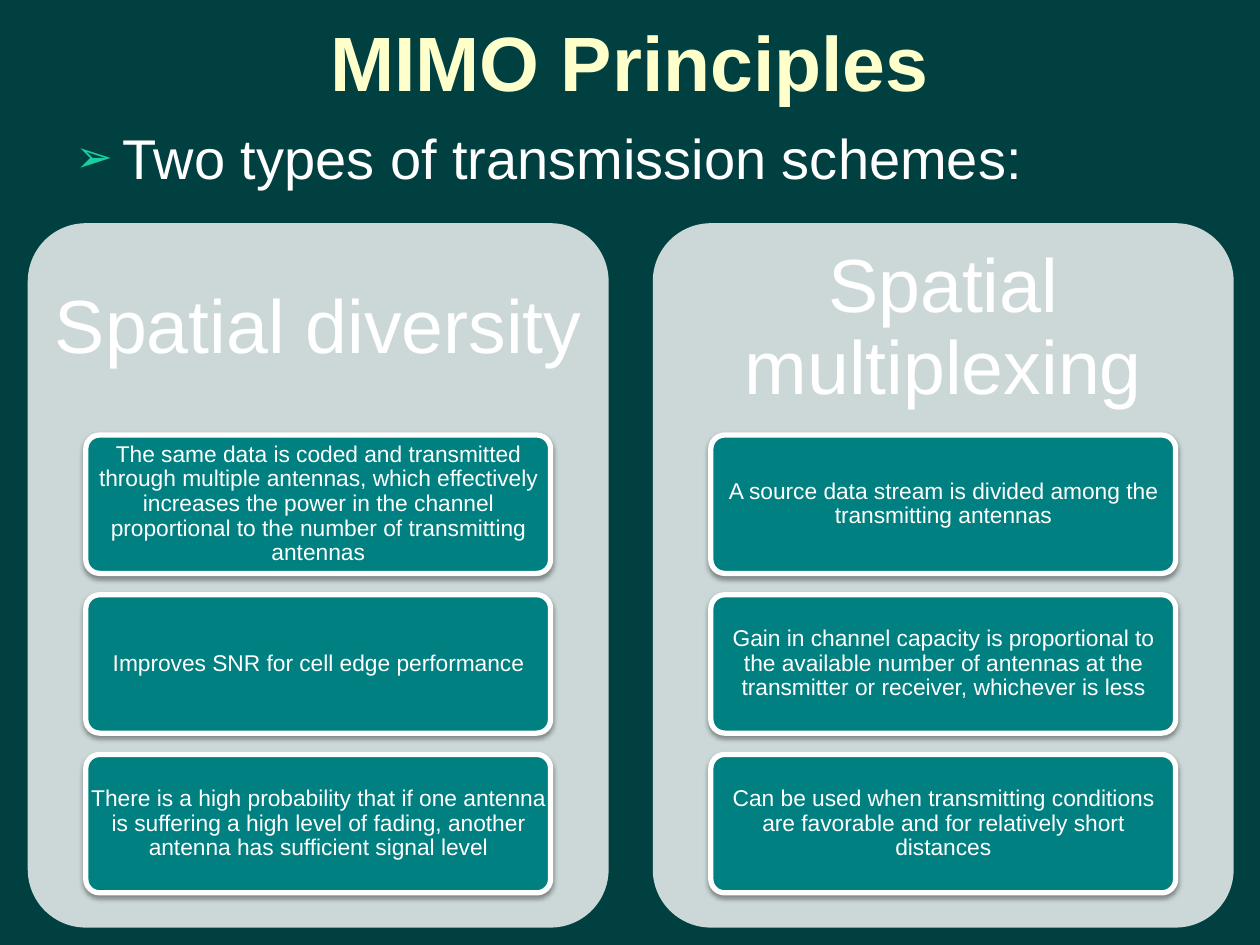
"""Build the MIMO principles slide with two columns of scheme cards."""
from dataclasses import dataclass

from lxml.etree import SubElement
from pptx import Presentation
from pptx.dml.color import RGBColor
from pptx.enum.shapes import MSO_SHAPE as Shape
from pptx.enum.text import MSO_ANCHOR as Anchor, PP_ALIGN as Align
from pptx.oxml.ns import qn
from pptx.util import Cm, Pt

FONT = "Arial"
BACKGROUND, TITLE, WHITE = "004040", "FFFFCC", "FFFFFF"
PANEL, CARD, BULLET = "CCD8D8", "008080", "1ACE9F"
COLUMN_LEFT, COLUMN_PITCH = 0.56, 12.6
PANEL_TOP, PANEL_WIDTH, PANEL_HEIGHT, HEADING_HEIGHT = 4.5, 11.71, 14.2, 4.27
CARD_INSET, CARD_TOP, CARD_PITCH = 1.17, 8.77, 3.22
CARD_WIDTH, CARD_HEIGHT = 9.37, 2.79


@dataclass(frozen=True)
class Box:
    left: float
    top: float
    width: float
    height: float

    def lengths(self) -> tuple:
        return tuple(Cm(n) for n in (self.left, self.top, self.width, self.height))


@dataclass(frozen=True)
class Scheme:
    heading: str
    points: tuple[str, ...]


SCHEMES = (
    Scheme("Spatial diversity", (
        "The same data is coded and transmitted through multiple antennas, which effectively "
        "increases the power in the channel proportional to the number of transmitting antennas",
        "Improves SNR for cell edge performance",
        "There is a high probability that if one antenna is suffering a high level of fading, "
        "another antenna has sufficient signal level",
    )),
    Scheme("Spatial multiplexing", (
        "A source data stream is divided among the transmitting antennas",
        "Gain in channel capacity is proportional to the available number of antennas at the "
        "transmitter or receiver, whichever is less",
        "Can be used when transmitting conditions are favorable and for relatively short distances",
    )),
)


def paint(target, color: str) -> None:
    target.solid()
    target.fore_color.rgb = RGBColor.from_string(color)


def write(shape, text: str, size: float, color: str = WHITE, bold: bool = False,
          align=Align.CENTER, anchor=Anchor.MIDDLE, spacing: float = 1.0,
          margins: tuple[float, float] = (0.25, 0.13)):
    frame = shape.text_frame
    frame.text = text
    frame.word_wrap = True
    frame.vertical_anchor = anchor
    frame.margin_left = frame.margin_right = Cm(margins[0])
    frame.margin_top = frame.margin_bottom = Cm(margins[1])
    paragraph = frame.paragraphs[0]
    paragraph.alignment = align
    paragraph.line_spacing = spacing
    font = paragraph.runs[0].font
    font.name, font.size, font.bold = FONT, Pt(size), bold
    font.color.rgb = RGBColor.from_string(color)
    return paragraph


def add_bullet(paragraph, character: str, indent: float) -> None:
    properties = paragraph._p.get_or_add_pPr()
    properties.set("marL", str(Cm(indent)))
    properties.set("indent", str(-Cm(indent)))
    color = SubElement(properties, qn("a:buClr"))
    SubElement(color, qn("a:srgbClr"), val=BULLET)
    SubElement(properties, qn("a:buSzPct"), val="80000")
    SubElement(properties, qn("a:buFont"), typeface=FONT)
    SubElement(properties, qn("a:buChar"), char=character)


def add_shadow(shape) -> None:
    effects = shape.element.spPr.find(qn("a:effectLst"))
    shadow = SubElement(effects, qn("a:outerShdw"), blurRad=str(Pt(3.1)), dist=str(Pt(1.6)),
                        dir="5400000", rotWithShape="0")
    color = SubElement(shadow, qn("a:srgbClr"), val="000000")
    SubElement(color, qn("a:alpha"), val="38000")


def add_rounded(slide, box: Box, color: str):
    shape = slide.shapes.add_shape(Shape.ROUNDED_RECTANGLE, *box.lengths())
    shape.adjustments[0] = 0.1
    shape.shadow.inherit = False
    paint(shape.fill, color)
    shape.line.fill.background()
    return shape


def add_card(slide, box: Box, text: str) -> None:
    card = add_rounded(slide, box, CARD)
    paint(card.line.fill, WHITE)
    card.line.width = Pt(3)
    add_shadow(card)
    write(card, text, 13, spacing=0.9, margins=(0, 0))


def add_scheme(slide, left: float, scheme: Scheme) -> None:
    add_rounded(slide, Box(left, PANEL_TOP, PANEL_WIDTH, PANEL_HEIGHT), PANEL)
    heading_box = Box(left, PANEL_TOP, PANEL_WIDTH, HEADING_HEIGHT)
    heading = slide.shapes.add_textbox(*heading_box.lengths())
    write(heading, scheme.heading, 43, spacing=0.9, margins=(0.45, 0.45))
    for row, point in enumerate(scheme.points):
        top = CARD_TOP + row * CARD_PITCH
        add_card(slide, Box(left + CARD_INSET, top, CARD_WIDTH, CARD_HEIGHT), point)


def main() -> None:
    presentation = Presentation()
    presentation.slide_width, presentation.slide_height = Cm(25.4), Cm(19.05)
    slide = presentation.slides.add_slide(presentation.slide_layouts[5])
    paint(slide.background.fill, BACKGROUND)

    title = slide.shapes.title
    title.left, title.top, title.width, title.height = Box(1.27, -0.36, 22.86, 3.18).lengths()
    write(title, "MIMO Principles", 44, TITLE, bold=True)

    intro = slide.shapes.add_textbox(*Box(1.27, 2.36, 22.86, 2.13).lengths())
    paragraph = write(intro, "Two types of transmission schemes:", 32,
                      align=Align.LEFT, anchor=Anchor.TOP)
    add_bullet(paragraph, "➢", 0.95)

    for column, scheme in enumerate(SCHEMES):
        add_scheme(slide, COLUMN_LEFT + column * COLUMN_PITCH, scheme)
    presentation.save("out.pptx")


if __name__ == "__main__":
    main()
